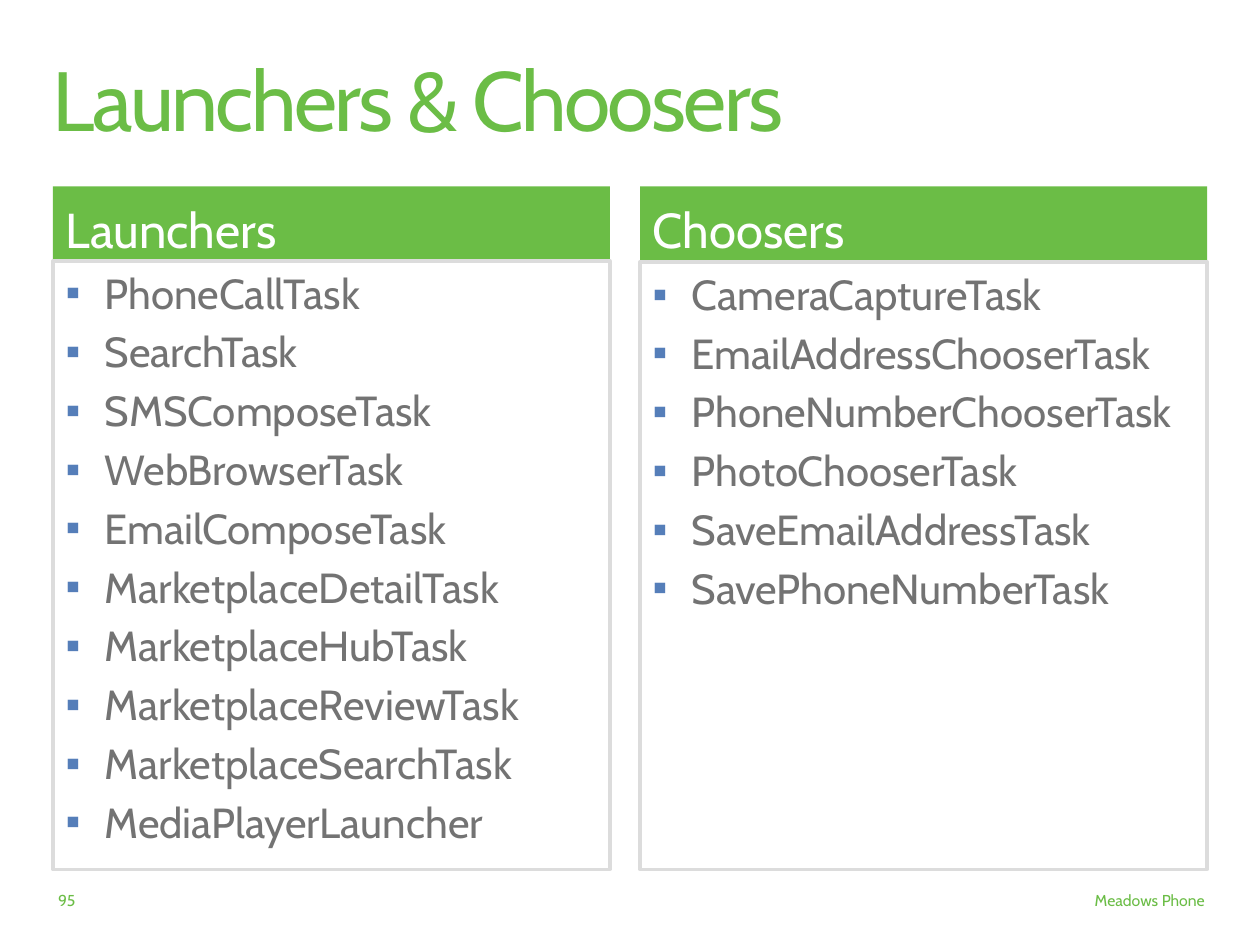
from lxml import etree
from pptx import Presentation
from pptx.dml.color import RGBColor
from pptx.enum.text import MSO_ANCHOR, MSO_AUTO_SIZE, PP_ALIGN
from pptx.oxml.ns import qn
from pptx.util import Inches, Pt

TOP, MIDDLE = MSO_ANCHOR.TOP, MSO_ANCHOR.MIDDLE
LEFT, RIGHT = PP_ALIGN.LEFT, PP_ALIGN.RIGHT
FIXED_SIZE = MSO_AUTO_SIZE.NONE
COMPARISON_LAYOUT = 4

TITLE = "Launchers & Choosers"
PAGE_NUMBER = "95"
FOOTER = "Meadows Phone"
COLUMNS = [
    {"heading": "Launchers", "left": 0.42, "width": 4.42, "list_top": 2.07,
     "tasks": ["PhoneCallTask", "SearchTask", "SMSComposeTask", "WebBrowserTask",
               "EmailComposeTask", "MarketplaceDetailTask", "MarketplaceHubTask",
               "MarketplaceReviewTask", "MarketplaceSearchTask",
               "MediaPlayerLauncher"]},
    {"heading": "Choosers", "left": 5.08, "width": 4.5, "list_top": 2.08,
     "tasks": ["CameraCaptureTask", "EmailAddressChooserTask",
               "PhoneNumberChooserTask", "PhotoChooserTask",
               "SaveEmailAddressTask", "SavePhoneNumberTask"]},
]
THEME = {
    "font": "Cabin",
    "green": "6BBD46", "white": "FFFFFF", "grey": "737373",
    "border": "DCDCDC", "bullet": "557EB9",
    "title": 48, "heading": 28, "list": 24, "small": 9,
}
HEADING_TOP, HEADING_HEIGHT = 1.48, 0.67
LIST_BOTTOM = 6.9
BULLET_INDENT = 0.31


def color(name):
    return RGBColor.from_string(THEME[name])


def place(shape, left, top, width, height):
    shape.left, shape.top = Inches(left), Inches(top)
    shape.width, shape.height = Inches(width), Inches(height)


def add_bullet(paragraph):
    properties = paragraph._p.get_or_add_pPr()
    properties.set("marL", str(Inches(BULLET_INDENT)))
    properties.set("indent", str(-Inches(BULLET_INDENT)))
    bullet_color = etree.SubElement(properties, qn("a:buClr"))
    etree.SubElement(bullet_color, qn("a:srgbClr"), val=THEME["bullet"])
    etree.SubElement(properties, qn("a:buFont"), typeface="Arial")
    etree.SubElement(properties, qn("a:buChar"), char="▪")


def write(shape, lines, size, color_name, insets=(0.1, 0.05), align=LEFT,
          anchor=TOP, bulleted=False):
    frame = shape.text_frame
    frame.word_wrap = True
    frame.auto_size = FIXED_SIZE
    frame.vertical_anchor = anchor
    frame.margin_left = frame.margin_right = Inches(insets[0])
    frame.margin_top = frame.margin_bottom = Inches(insets[1])
    frame.text = "\n".join(lines)
    for index, paragraph in enumerate(frame.paragraphs):
        if bulleted:
            add_bullet(paragraph)
        paragraph.alignment = align
        paragraph.space_before = Pt(0.2 * THEME[size] if index else 0)
        font = paragraph.font
        font.name, font.size, font.bold = THEME["font"], Pt(THEME[size]), False
        font.color.rgb = color(color_name)


def fill(shape, color_name):
    shape.fill.solid()
    shape.fill.fore_color.rgb = color(color_name)


def add_column(heading, task_list, column):
    left, width, list_top = column["left"], column["width"], column["list_top"]
    place(heading, left, HEADING_TOP, width, HEADING_HEIGHT)
    fill(heading, "green")
    write(heading, [column["heading"]], "heading", "white", insets=(0.1, 0.1))

    place(task_list, left, list_top, width, LIST_BOTTOM - list_top)
    fill(task_list, "white")
    task_list.line.color.rgb = color("border")
    task_list.line.width = Pt(2)
    write(task_list, column["tasks"], "list", "grey", bulleted=True)


def add_small_text(slide, text, box, **options):
    shape = slide.shapes.add_textbox(*map(Inches, box))
    write(shape, [text], "small", "green", align=RIGHT, **options)


def main():
    presentation = Presentation()
    presentation.slide_width, presentation.slide_height = Inches(10), Inches(7.5)
    slide = presentation.slides.add_slide(
        presentation.slide_layouts[COMPARISON_LAYOUT])

    title, *bodies = slide.placeholders
    place(title, 0.42, 0.47, 9.15, 0.73)
    write(title, [TITLE], "title", "green", insets=(0, 0))
    title_paragraph = title.text_frame.paragraphs[0]
    title_paragraph.line_spacing = 0.9
    title_paragraph.runs[0]._r.get_or_add_rPr().set("spc", "-150")

    for heading, task_list, column in zip(bodies[::2], bodies[1::2], COLUMNS):
        add_column(heading, task_list, column)

    add_small_text(slide, FOOTER, (6.33, 7.02, 3.33, 0.25))
    add_small_text(slide, PAGE_NUMBER, (0, 7.02, 0.6, 0.25),
                   insets=(0, 0), anchor=MIDDLE)
    presentation.save("out.pptx")


if __name__ == "__main__":
    main()
